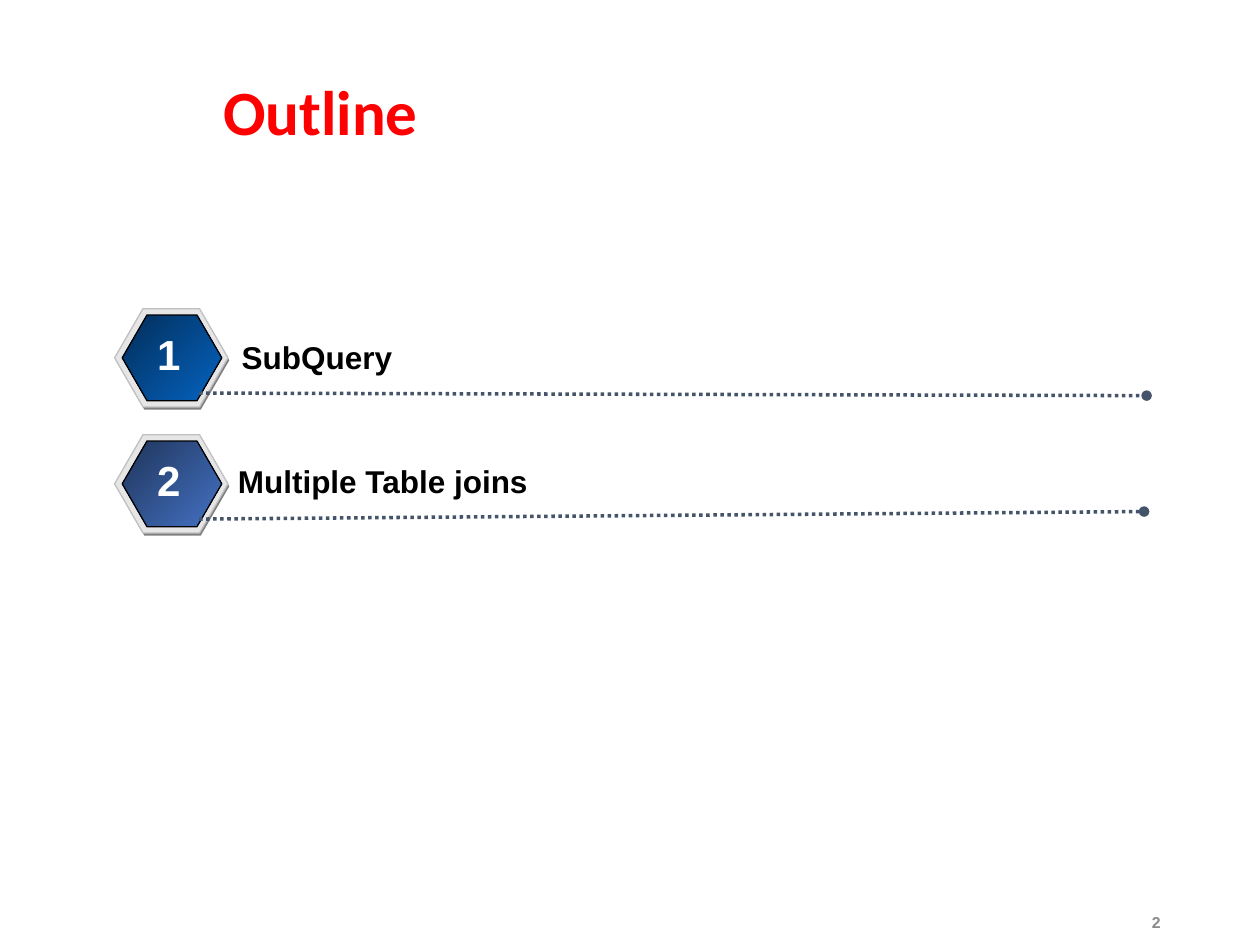
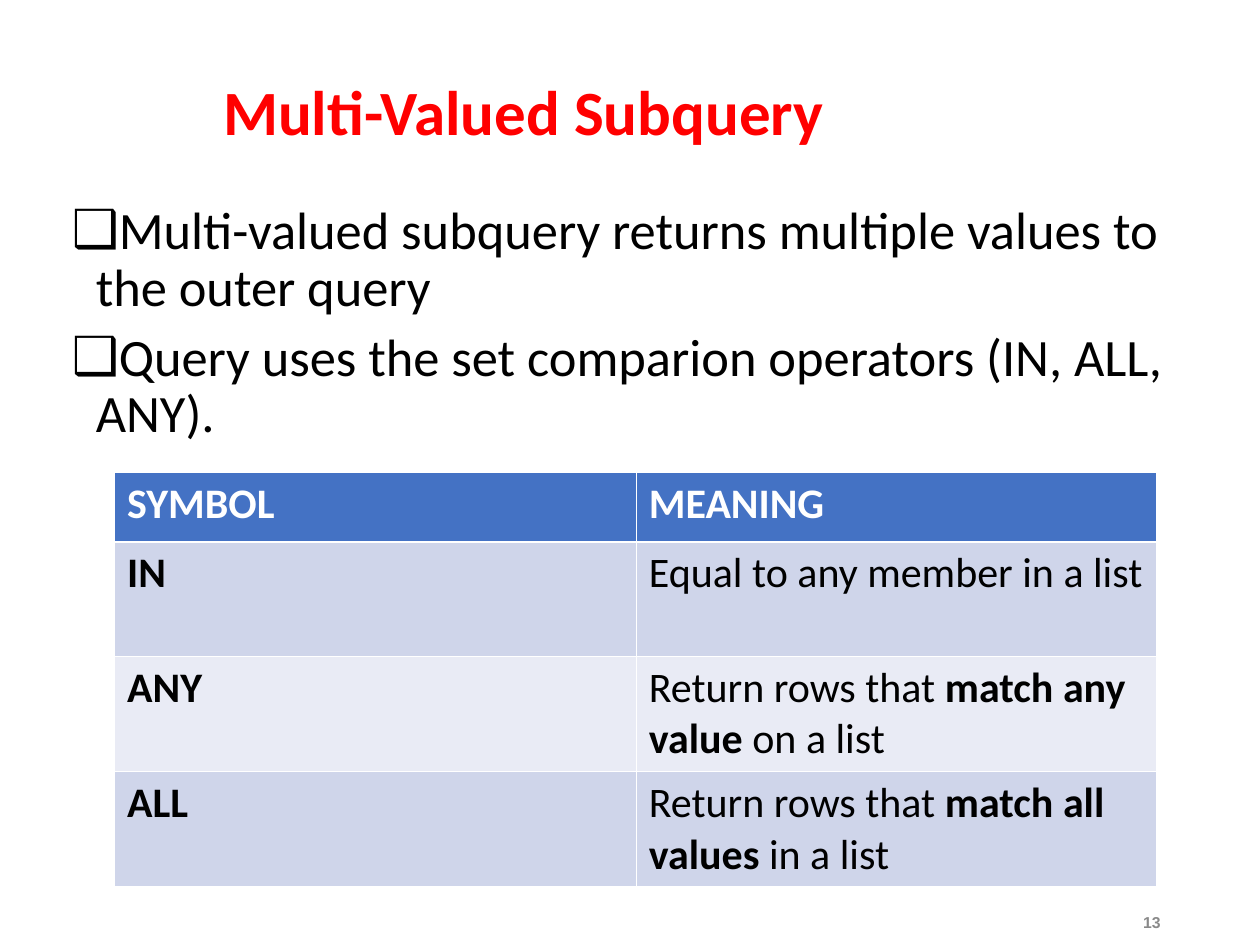
import dataclasses

import lxml.etree
import pptx
import pptx.dml.color
import pptx.enum.dml
import pptx.enum.shapes
import pptx.enum.text
import pptx.oxml.ns
import pptx.util

Inches = pptx.util.Inches
Pt = pptx.util.Pt
qn = pptx.oxml.ns.qn
ALIGN = pptx.enum.text.PP_ALIGN
MIDDLE = pptx.enum.text.MSO_ANCHOR.MIDDLE
FIT = pptx.enum.text.MSO_AUTO_SIZE


@dataclasses.dataclass(frozen=True)
class Theme:
    # Fonts
    head: str = "Calibri"
    label: str = "Arial"
    # Colours
    title: str = "FF0000"
    ink: str = "000000"
    white: str = "FFFFFF"
    gray: str = "898989"
    rule: str = "44546A"
    shade: str = "808080"
    rim: str = "E6E6E6"
    edge: str = "C0C0C0"
    blue: str = "4472C4"
    bands: tuple = ("CFD5EA", "E9EBF5")
    # Type sizes in points
    title_size: int = 36
    body_size: int = 30
    cell_size: int = 24
    badge_size: int = 24
    label_size: int = 18
    foot_size: int = 9


def rgb(code):
    return pptx.dml.color.RGBColor.from_string(code)


def box(left, top, width, height):
    return [Inches(n) for n in (left, top, width, height)]


class Deck:
    def __init__(self, theme):
        self.theme = theme
        self.file = pptx.Presentation()
        self.file.slide_width, self.file.slide_height = Inches(10), Inches(7.5)
        self.slide = None

    def start(self, layout, title, width, number):
        """Add a slide with its title and page number."""
        look = self.theme
        self.slide = self.file.slides.add_slide(self.file.slide_layouts[layout])
        shape = self.slide.shapes.title
        self.place(shape, 1.67, 0.4, width, 1.03)
        shape.text_frame.vertical_anchor = MIDDLE
        para = shape.text_frame.paragraphs[0]
        para.alignment = ALIGN.LEFT
        para.line_spacing = 0.9
        self.run(para, title, look.head, look.title_size, look.title, True)
        foot = self.text(number, (7.06, 7.14, 2.25, 0.36), look.foot_size,
                         look.gray, ALIGN.RIGHT, FIT.NONE)
        foot.vertical_anchor = MIDDLE

    def place(self, shape, *area):
        shape.left, shape.top, shape.width, shape.height = box(*area)
        shape.text_frame.auto_size = FIT.NONE

    def run(self, para, text, font, size, color, bold=False):
        run = para.add_run()
        run.text = text
        run.font.name = font
        run.font.size = Pt(size)
        run.font.bold = bold
        run.font.color.rgb = rgb(color)

    def text(self, words, area, size, color, align=ALIGN.LEFT,
             fit=FIT.SHAPE_TO_FIT_TEXT):
        frame = self.slide.shapes.add_textbox(*box(*area)).text_frame
        frame.word_wrap = True
        frame.auto_size = fit
        para = frame.paragraphs[0]
        para.alignment = align
        self.run(para, words, self.theme.label, size, color, True)
        return frame

    def bullets(self, items, area):
        look = self.theme
        holder = self.slide.placeholders[1]
        self.place(holder, *area)
        frame = holder.text_frame
        for index, item in enumerate(items):
            para = frame.add_paragraph() if index else frame.paragraphs[0]
            props = para._p.get_or_add_pPr()
            props.set("marL", str(Inches(0.19)))
            props.set("indent", str(-Inches(0.19)))
            tint = lxml.etree.SubElement(props, qn("a:buClr"))
            lxml.etree.SubElement(tint, qn("a:srgbClr"), val=look.ink)
            lxml.etree.SubElement(props, qn("a:buChar"), char="❑")
            para.line_spacing = 0.9
            para.space_before = Pt(7.5 if index else 0)
            self.run(para, item, look.head, look.body_size, look.ink)

    def hexagon(self, group, area, fill, line=None):
        """Draw a hexagon; a pair of fill colours makes a gradient."""
        kind = pptx.enum.shapes.MSO_SHAPE.HEXAGON
        shape = group.shapes.add_shape(kind, *box(*area))
        shape.shadow.inherit = False
        shape.adjustments[0], shape.adjustments[1] = 0.289, 1.155
        if isinstance(fill, tuple):
            shape.fill.gradient()
            shape.fill.gradient_angle = 315
            for stop, color in zip(shape.fill.gradient_stops, fill):
                stop.color.rgb = rgb(color)
        else:
            shape.fill.solid()
            shape.fill.fore_color.rgb = rgb(fill)
        if line:
            shape.line.color.rgb = rgb(line)
            shape.line.width = Pt(0.75)
        else:
            shape.line.fill.background()

    def badge(self, top, fill):
        """Stack shade, rim and face into one numbered badge."""
        look = self.theme
        group = self.slide.shapes.add_group_shape()
        self.hexagon(group, (0.92, top + 0.02, 0.9, 0.78), look.shade)
        self.hexagon(group, (0.91, top, 0.9, 0.78), look.rim, look.edge)
        self.hexagon(group, (0.97, top + 0.05, 0.79, 0.68), fill, look.ink)

    def rule(self, *ends):
        """Draw a dotted line that ends in a dot."""
        kind = pptx.enum.shapes.MSO_CONNECTOR.STRAIGHT
        line = self.slide.shapes.add_connector(kind, *box(*ends))
        line.line.color.rgb = rgb(self.theme.rule)
        line.line.width = Pt(2)
        line.line.dash_style = pptx.enum.dml.MSO_LINE.ROUND_DOT
        props = line._element.spPr
        lxml.etree.SubElement(props.find(qn("a:ln")), qn("a:tailEnd"), type="oval")
        lxml.etree.SubElement(props, qn("a:effectLst"))

    def border(self, cell, **widths):
        props = cell._tc.get_or_add_tcPr()
        for side in "LRTB":
            width = str(Pt(widths.get(side, 0.45)))
            line = lxml.etree.SubElement(props, qn("a:ln" + side), w=width)
            fill = lxml.etree.SubElement(line, qn("a:solidFill"))
            lxml.etree.SubElement(fill, qn("a:srgbClr"), val=self.theme.white)

    def table(self, rows, area, widths, heights):
        """Fill a table; each cell is a list of (text, bold) parts."""
        look = self.theme
        grid = self.slide.shapes.add_table(len(rows), len(widths), *box(*area)).table
        for col, width in zip(grid.columns, widths):
            col.width = Inches(width)
        for r, (row, height) in enumerate(zip(rows, heights)):
            grid.rows[r].height = Inches(height)
            thick = {0: {"B": 1.47}, 1: {"T": 1.47}}.get(r, {})
            for c, parts in enumerate(row):
                cell = grid.cell(r, c)
                self.border(cell, **thick)
                cell.fill.solid()
                cell.fill.fore_color.rgb = rgb(look.bands[(r - 1) % 2] if r else look.blue)
                para = cell.text_frame.paragraphs[0]
                for text, bold in parts:
                    self.run(para, text, look.head, look.cell_size,
                             look.ink if r else look.white, bold)


def outline(deck):
    look = deck.theme
    deck.start(5, "Outline", 7.64, "2")
    # Topic, face colours, label area, end of the dotted line
    topics = [
        ("SubQuery", ("022E59", "0563C1"), (1.82, 2.63, 7.29, 0.4), (9.1, 3.14)),
        ("Multiple Table joins", ("1F355B", look.blue), (1.79, 3.62, 7, 0.4), (9.08, 4.06)),
    ]
    for index, (topic, fill, area, end) in enumerate(topics):
        top = 2.45 + index
        deck.badge(top, fill)
        deck.rule(1.58, top + 0.67, *end)
        deck.text(topic, area, look.label_size, look.ink)
        deck.text(str(index + 1), (1.13, top + 0.11, 0.42, 0.5),
                  look.badge_size, look.white, ALIGN.CENTER)


def values(deck):
    deck.start(1, "Multi-Valued Subquery", 8.32, "13")
    deck.bullets([
        "Multi-valued subquery returns multiple values to the outer query",
        "Query uses the set comparion operators (IN, ALL, ANY).",
    ], (0.47, 1.57, 9.34, 5.32))
    # Set operators
    rows = [
        ([("SYMBOL", True)], [("MEANING", True)]),
        ([("IN", True)], [("Equal to any member in a list", False)]),
        ([("ANY", True)], [("Return rows that ", False), ("match any value", True),
                           (" on a list", False)]),
        ([("ALL", True)], [("Return rows that ", False), ("match all values", True),
                           (" in a list", False)]),
    ]
    deck.table(rows, (0.91, 3.75, 8.27, 3.28), (4.14, 4.13), [0.55] + [0.91] * 3)


def main():
    deck = Deck(Theme())
    outline(deck)
    values(deck)
    deck.file.save("out.pptx")


if __name__ == "__main__":
    main()
